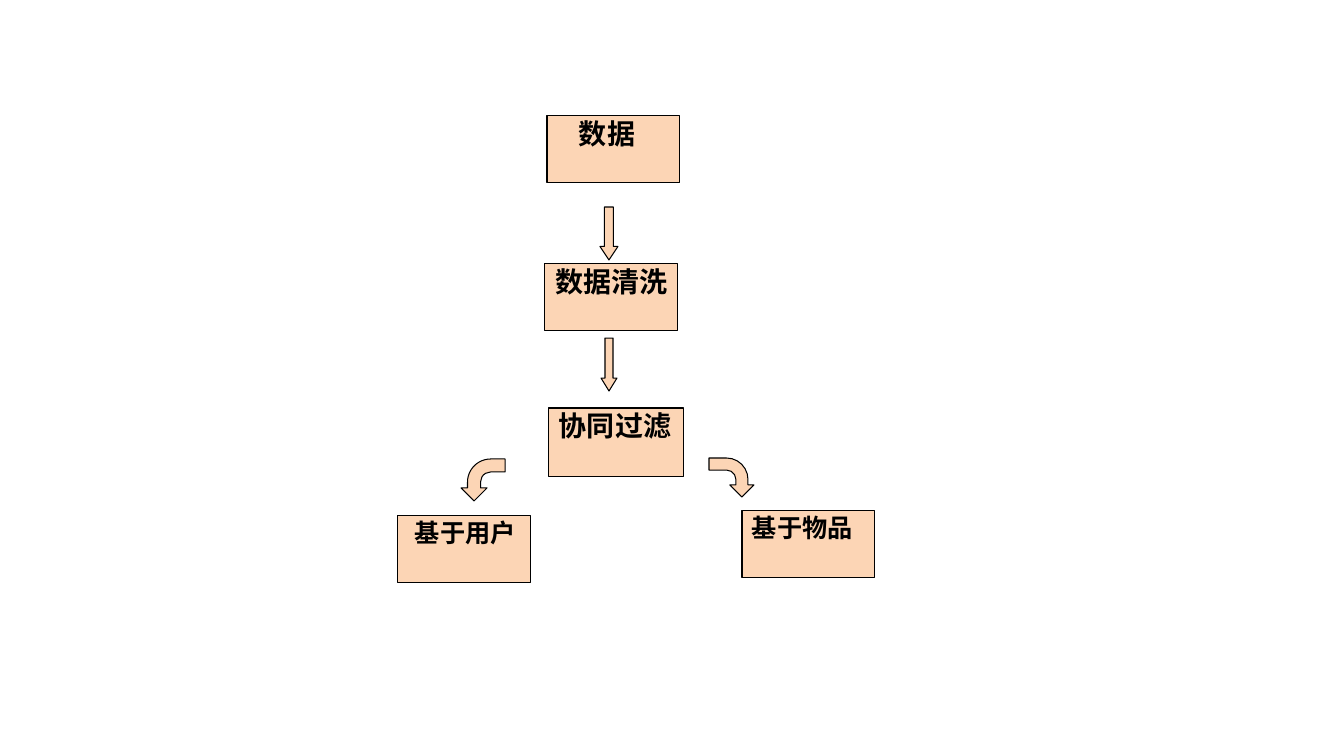
from lxml.etree import SubElement
from pptx import Presentation
from pptx.dml.color import RGBColor
from pptx.enum.shapes import MSO_SHAPE as Shape
from pptx.enum.text import MSO_ANCHOR as Anchor, PP_ALIGN as Align
from pptx.oxml.ns import qn
from pptx.util import Pt

PX = 9071
FONT = "Noto Sans CJK SC"
PEACH = "FCD5B5"
BLACK = "000000"


def color(value):
    """Turn a hex string into a colour."""
    return RGBColor.from_string(value)


def add_figure(page, kind, left, top, width, height):
    """Add a peach shape with a thin black outline."""
    figure = page.shapes.add_shape(kind, left * PX, top * PX, width * PX, height * PX)
    figure.shadow.inherit = False
    figure.fill.solid()
    figure.fill.fore_color.rgb = color(PEACH)
    figure.line.color.rgb = color(BLACK)
    figure.line.width = Pt(0.75)
    return figure


def add_step(page, text, left, top, width, height, size, align=Align.JUSTIFY, indent=0):
    """Add a box with a bold label at its top."""
    box = add_figure(page, Shape.RECTANGLE, left, top, width, height)
    frame = box.text_frame
    frame.word_wrap = True
    frame.vertical_anchor = Anchor.TOP
    frame.margin_left = frame.margin_right = 10 * PX
    frame.margin_top = frame.margin_bottom = PX
    frame.text = text
    para = frame.paragraphs[0]
    para.alignment = align
    para._p.get_or_add_pPr().set("indent", str(indent * PX))
    span = para.runs[0]
    span.font.name = FONT
    span.font.size = Pt(size)
    span.font.bold = True
    span.font.color.rgb = color(BLACK)
    SubElement(span._r.get_or_add_rPr(), qn("a:ea"), typeface=FONT)


def add_down_arrow(page, left, top, width, height, head):
    """Add a block arrow that points down."""
    arrow = add_figure(page, Shape.DOWN_ARROW, left, top, width, height)
    arrow.adjustments[0] = 0.5
    arrow.adjustments[1] = head


def add_bent_arrow(page, left, top, width, height, to_left=False):
    """Add an arrow that runs sideways and bends down."""
    arrow = add_figure(page, Shape.BENT_ARROW, left, top, width, height)
    for index, ratio in enumerate((0.31, 0.31, 0.31, 0.55)):
        arrow.adjustments[index] = ratio
    arrow.rotation = 270 if to_left else 90
    if to_left:
        arrow._element.spPr.find(qn("a:xfrm")).set("flipH", "1")


def main():
    """Build the flow chart slide."""
    deck = Presentation()
    deck.slide_width = 1344 * PX
    deck.slide_height = 756 * PX
    page = deck.slides.add_slide(deck.slide_layouts[6])

    add_down_arrow(page, 600, 207, 18, 53, 0.75)
    add_down_arrow(page, 601, 338, 16, 53, 0.81)

    add_step(page, "协同过滤", 549, 408, 135, 69, 20)
    add_step(page, "基于用户", 398, 516, 133, 67, 18, indent=7)
    add_step(page, "基于物品", 742, 511, 133, 67, 18)
    add_step(page, "数据", 547, 116, 133, 67, 20, indent=22)
    add_step(page, "数据清洗", 545, 264, 133, 67, 20, Align.CENTER)

    add_bent_arrow(page, 712, 455, 39, 45)
    add_bent_arrow(page, 462, 458, 42, 44, to_left=True)

    deck.save("out.pptx")


if __name__ == "__main__":
    main()
